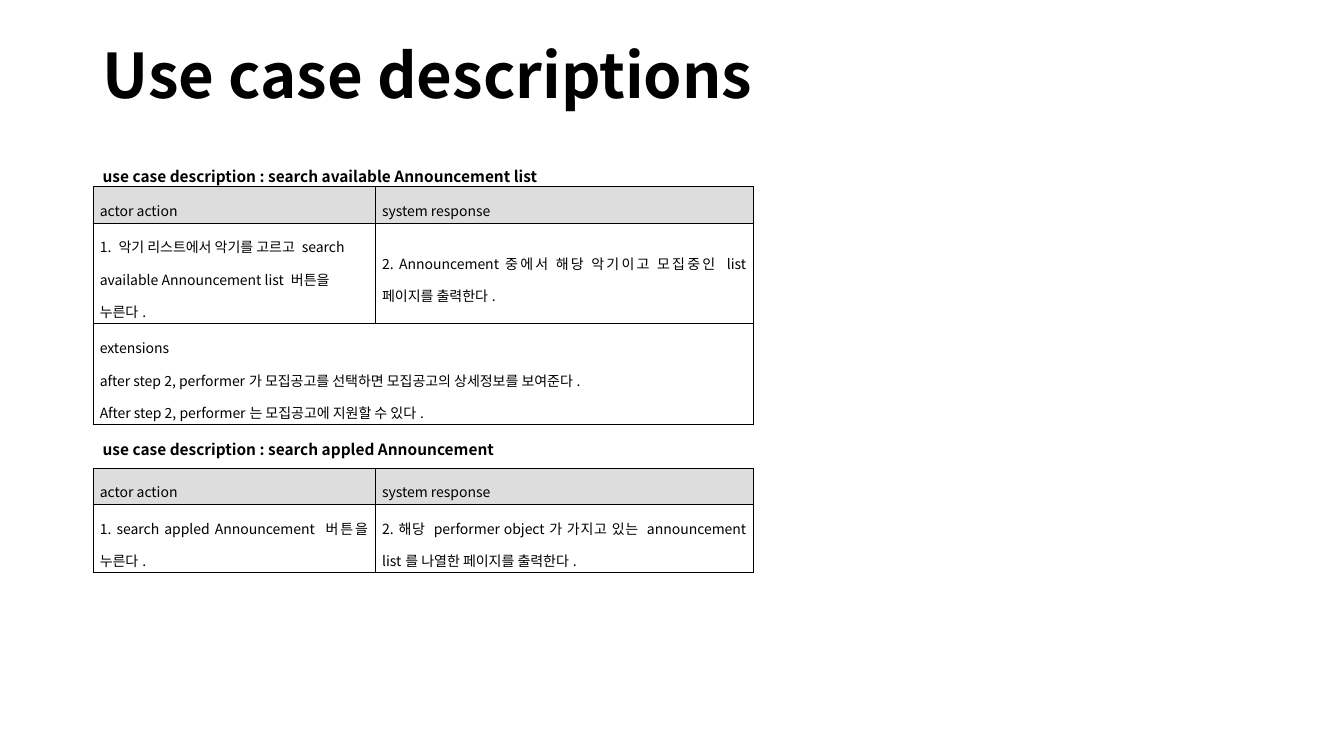
from lxml.etree import SubElement
from pptx import Presentation
from pptx.dml.color import RGBColor
from pptx.enum.text import MSO_ANCHOR as Anchor, PP_ALIGN as Align
from pptx.oxml import parse_xml
from pptx.oxml.ns import nsdecls, qn
from pptx.util import Inches, Pt

FONT = "Noto Sans CJK KR"
BLACK, GREY = "000000", "DDDDDD"
LEFT, WIDTH = 0.92, 11.5
COLUMNS = (2.8, 3.75)
BORDER = 0.28

TITLE = "Use case descriptions"
HEADER = ("actor action", "system response")
USE_CASES = [
    {
        "caption": "use case description : search available Announcement list",
        "caption_top": 1.5,
        "table_top": 1.85,
        "heights": (0.36, 1.0, 1.0),
        "rows": [
            HEADER,
            ("1. 악기 리스트에서 악기를 고르고 search available Announcement list 버튼을 누른다.",
             "2. Announcement중에서 해당 악기이고 모집중인 list 페이지를 출력한다."),
            ("extensions\n"
             "after step 2, performer가 모집공고를 선택하면 모집공고의 상세정보를 보여준다.\n"
             "After step 2, performer는 모집공고에 지원할 수 있다.",),
        ],
        "left_aligned": (1, 0),
    },
    {
        "caption": "use case description : search appled Announcement",
        "caption_top": 4.21,
        "table_top": 4.64,
        "heights": (0.36, 0.68),
        "rows": [
            HEADER,
            ("1. search appled Announcement 버튼을 누른다.",
             "2.해당 performer object가 가지고 있는 announcement list를 나열한 페이지를 출력한다."),
        ],
        "left_aligned": None,
    },
]


def color(hex_string):
    return RGBColor.from_string(hex_string)


def format_text(text_frame, size, bold=False, align=Align.LEFT, spacing=1.6):
    for paragraph in text_frame.paragraphs:
        paragraph.alignment = align
        paragraph.line_spacing = spacing
        for run in paragraph.runs:
            run.font.size = Pt(size)
            run.font.bold = bold
            run.font.name = FONT
            run.font.color.rgb = color(BLACK)
            SubElement(run.font._element, qn("a:ea"), typeface=FONT)


def add_borders(cell):
    properties = cell._tc.get_or_add_tcPr()
    for position, side in enumerate(("lnL", "lnR", "lnT", "lnB")):
        properties.insert(position, parse_xml(
            f'<a:{side} {nsdecls("a")} w="{Pt(BORDER)}"><a:solidFill>'
            f'<a:srgbClr val="{BLACK}"/></a:solidFill></a:{side}>'))


def add_caption(slide, text, top):
    box = slide.shapes.add_textbox(
        Inches(LEFT), Inches(top), Inches(WIDTH), Inches(0.35))
    box.text_frame.word_wrap = True
    box.text_frame.text = text
    format_text(box.text_frame, 11, bold=True)


def add_use_case_table(slide, use_case):
    rows, heights = use_case["rows"], use_case["heights"]
    table = slide.shapes.add_table(
        len(rows), len(COLUMNS), Inches(LEFT), Inches(use_case["table_top"]),
        Inches(sum(COLUMNS)), Inches(sum(heights))).table
    table.first_row = table.horz_banding = False
    for column, width in zip(table.columns, COLUMNS):
        column.width = Inches(width)
    for row_index, texts in enumerate(rows):
        table.rows[row_index].height = Inches(heights[row_index])
        if len(texts) == 1:
            table.cell(row_index, 0).merge(table.cell(row_index, len(COLUMNS) - 1))
        for column_index in range(len(COLUMNS)):
            cell = table.cell(row_index, column_index)
            cell.margin_left = cell.margin_right = Inches(0.07)
            cell.margin_top = cell.margin_bottom = Inches(0.02)
            cell.vertical_anchor = Anchor.MIDDLE
            if row_index == 0:
                cell.fill.solid()
                cell.fill.fore_color.rgb = color(GREY)
            else:
                cell.fill.background()
            add_borders(cell)
            if column_index < len(texts):
                cell.text_frame.text = texts[column_index]
                is_left = (row_index, column_index) == use_case["left_aligned"]
                format_text(cell.text_frame, 10,
                            align=Align.LEFT if is_left else Align.JUSTIFY)


def main():
    presentation = Presentation()
    presentation.slide_width, presentation.slide_height = Inches(13.33), Inches(7.5)
    slide = presentation.slides.add_slide(presentation.slide_layouts[5])

    title = slide.shapes.title
    title.left, title.top = Inches(LEFT), Inches(0.05)
    title.width, title.height = Inches(WIDTH), Inches(1.45)
    title.text_frame.text = TITLE
    title.text_frame.vertical_anchor = Anchor.MIDDLE
    format_text(title.text_frame, 44, bold=True, spacing=0.9)

    for use_case in USE_CASES:
        add_caption(slide, use_case["caption"], use_case["caption_top"])
        add_use_case_table(slide, use_case)
    presentation.save("out.pptx")


if __name__ == "__main__":
    main()
